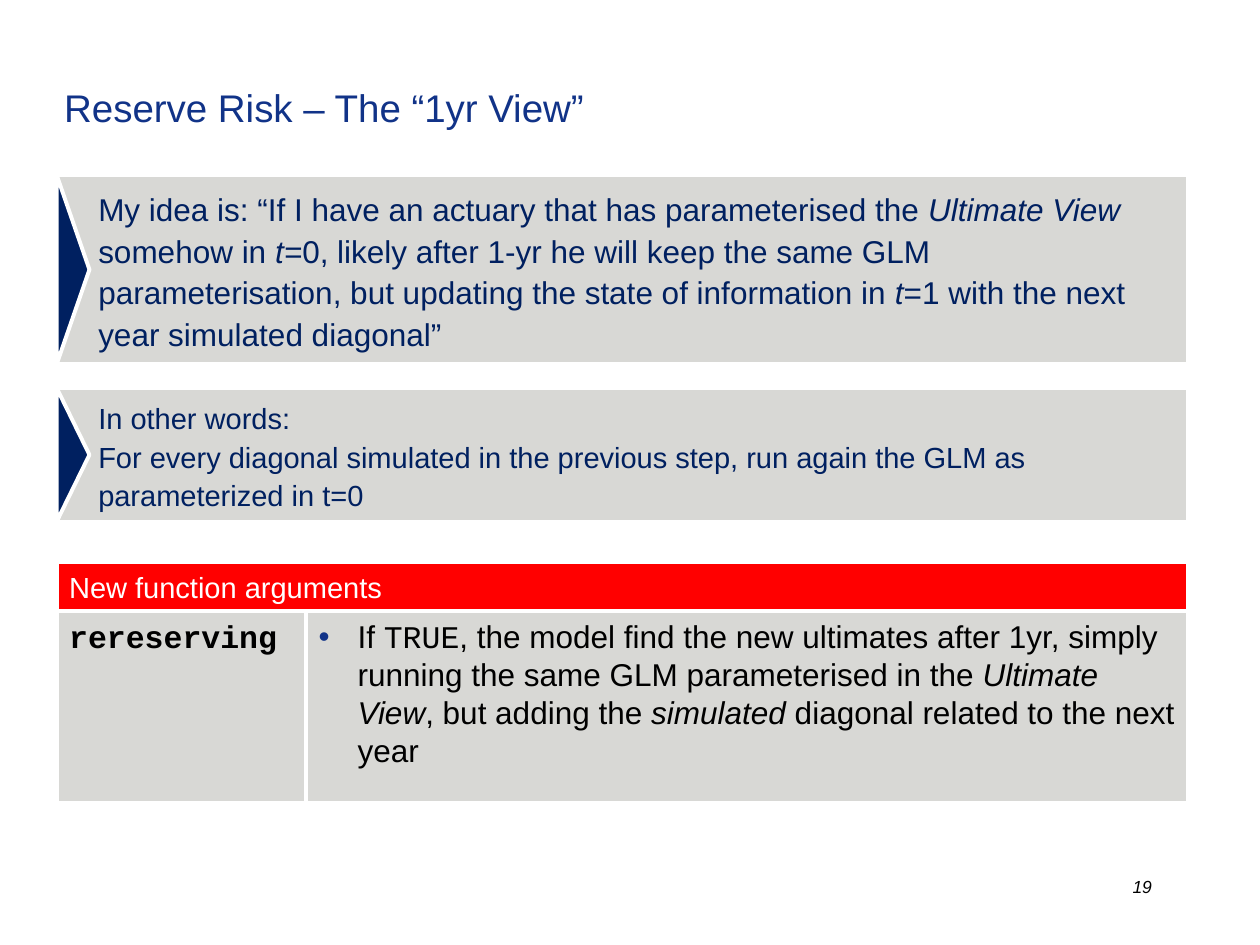
from dataclasses import dataclass

from lxml import etree
from pptx import Presentation
from pptx import util as u
from pptx.dml.color import RGBColor
from pptx.enum import shapes, text
from pptx.oxml.ns import qn


@dataclass(frozen=True)
class Theme:
    title: str = "113388"
    navy: str = "002060"
    panel: str = "D8D8D5"
    header: str = "FF0000"
    white: str = "FFFFFF"
    black: str = "000000"
    font: str = "Arial"
    mono: str = "Courier New"
    title_size: float = 22
    body_size: float = 18
    small_size: float = 16.6
    number_size: float = 10
    border: float = 2.25


class Deck:
    def __init__(self, theme):
        self.t = theme
        self.prs = Presentation()
        self.prs.slide_width, self.prs.slide_height = u.Inches(10), u.Inches(7.5)
        self.s = self.prs.slides.add_slide(self.prs.slide_layouts[6])

    def add_text(self, sp, paragraphs, size, color, insets=(0.1, 0.05, 0.1, 0.05),
                 anchor=text.MSO_ANCHOR.TOP, spacing=None, after=None):
        tf = sp.text_frame
        tf.word_wrap = True
        tf.vertical_anchor = anchor
        tf.margin_left, tf.margin_top, tf.margin_right, tf.margin_bottom = map(u.Inches, insets)
        for i, runs in enumerate(paragraphs):
            p = tf.add_paragraph() if i else tf.paragraphs[0]
            p.alignment = text.PP_ALIGN.LEFT
            if spacing:
                p.line_spacing = spacing
            if after:
                p.space_after = u.Pt(after)
            for content, style in runs:
                r = p.add_run()
                r.text = content
                r.font.size = u.Pt(size)
                r.font.name = self.t.mono if "m" in style else self.t.font
                r.font.italic = "i" in style
                r.font.bold = "b" in style
                r.font.color.rgb = RGBColor.from_string(color)

    def label(self, box, paragraphs, size, color, **options):
        sp = self.s.shapes.add_textbox(*map(u.Inches, box))
        self.add_text(sp, paragraphs, size, color, **options)

    def shape(self, kind, box, fill):
        sp = self.s.shapes.add_shape(kind, *map(u.Inches, box))
        sp.shadow.inherit = False
        sp.fill.solid()
        sp.fill.fore_color.rgb = RGBColor.from_string(fill)
        sp.line.color.rgb = RGBColor.from_string(self.t.white)
        sp.line.width = u.Pt(self.t.border)
        return sp

    def panel(self, box, fill, paragraphs, size, color, **options):
        sp = self.shape(shapes.MSO_SHAPE.RECTANGLE, box, fill)
        self.add_text(sp, paragraphs, size, color, **options)
        return sp

    def callout(self, box, paragraphs, size):
        self.panel(box, self.t.panel, paragraphs, size, self.t.navy,
                   insets=(0.33, 0.05, 0.1, 0.05), anchor=text.MSO_ANCHOR.MIDDLE, spacing=1.1)
        left, top, _, height = box
        depth = 0.26
        marker = (left + (depth - height) / 2, top + (height - depth) / 2, height, depth)
        sp = self.shape(shapes.MSO_SHAPE.ISOSCELES_TRIANGLE, marker, self.t.navy)
        sp.rotation = 90

    def bullet(self, p, color, indent):
        pPr = p._p.get_or_add_pPr()
        pPr.set("marL", str(u.Inches(indent)))
        pPr.set("indent", str(-u.Inches(indent)))
        buClr = etree.SubElement(pPr, qn("a:buClr"))
        etree.SubElement(buClr, qn("a:srgbClr"), val=color)
        etree.SubElement(pPr, qn("a:buFont"), typeface=self.t.font)
        etree.SubElement(pPr, qn("a:buChar"), char="•")


def main():
    t = Theme()
    d = Deck(t)
    left, width, name_width = 0.45, 8.98, 1.98

    d.label((8.89, 6.9, 0.83, 0.27), [[("19", "i")]], t.number_size, t.black)
    d.label((0.51, 0.67, width, 0.75), [[("Reserve Risk – The “1yr View”", "")]],
            t.title_size, t.title, insets=(0, 0, 0, 0))

    d.panel((left, 4.46, width, 0.39), t.header, [[("New function arguments", "")]],
            t.small_size, t.white, anchor=text.MSO_ANCHOR.MIDDLE)
    d.panel((left, 4.85, name_width, 1.52), t.panel, [[("rereserving", "mb")]],
            t.body_size, t.black, after=6.8)
    sp = d.panel((left + name_width, 4.85, width - name_width, 1.52), t.panel, [[
        ("If ", ""),
        ("TRUE", "m"),
        (", the model find the new ultimates after 1yr, simply running the same GLM "
         "parameterised in the ", ""),
        ("Ultimate View", "i"),
        (", but adding the ", ""),
        ("simulated ", "i"),
        ("diagonal related to the next year", ""),
    ]], t.body_size, t.black, after=6.8)
    d.bullet(sp.text_frame.paragraphs[0], t.title, 0.31)

    d.callout((left, 1.39, width, 1.5), [[
        ("My idea is: “If I have an actuary that has parameterised the ", ""),
        ("Ultimate View", "i"),
        (" somehow in ", ""),
        ("t=", "i"),
        ("0, likely after 1-yr he will keep the same GLM parameterisation, but updating "
         "the state of information in ", ""),
        ("t", "i"),
        ("=1 with the next year simulated diagonal”", ""),
    ]], t.body_size)
    d.callout((left, 3.08, width, 1.06), [
        [("In other words:", "")],
        [("For every diagonal simulated in the previous step, run again the GLM as "
          "parameterized in t=0", "")],
    ], t.small_size)

    d.prs.save("out.pptx")


if __name__ == "__main__":
    main()
